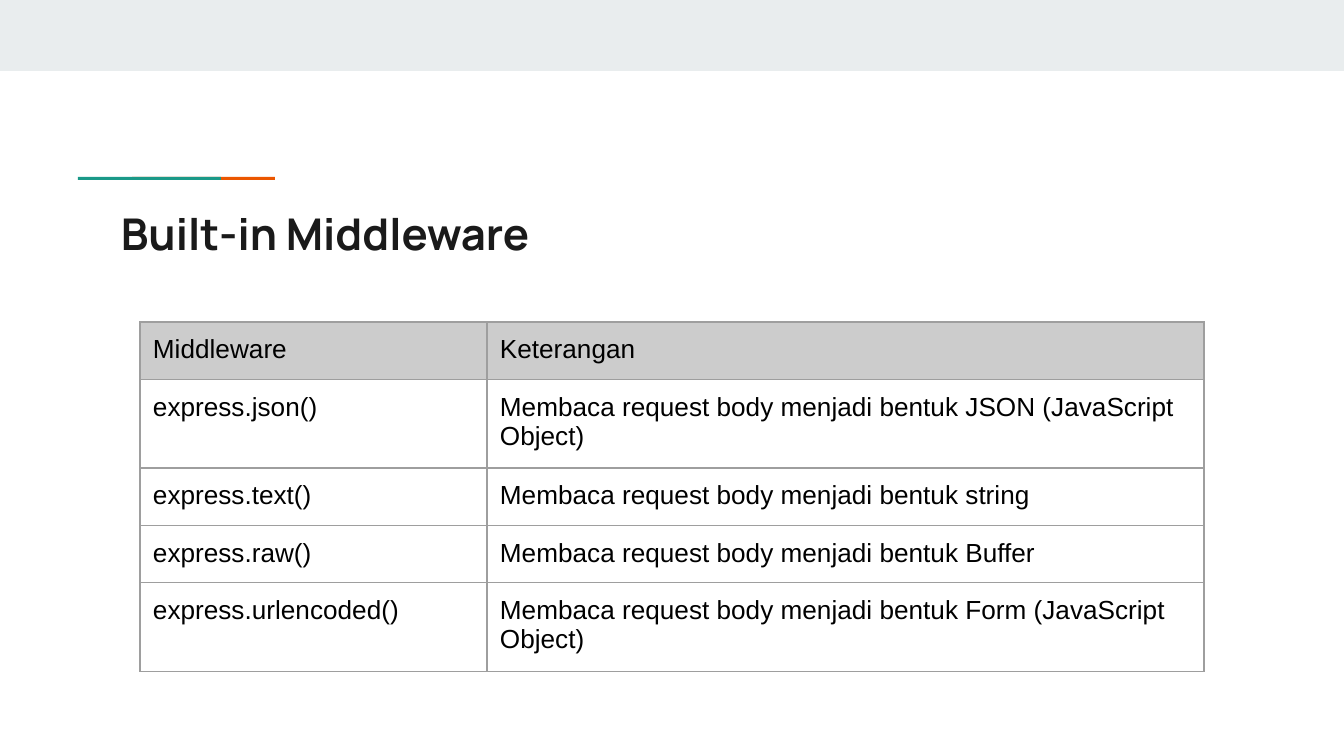
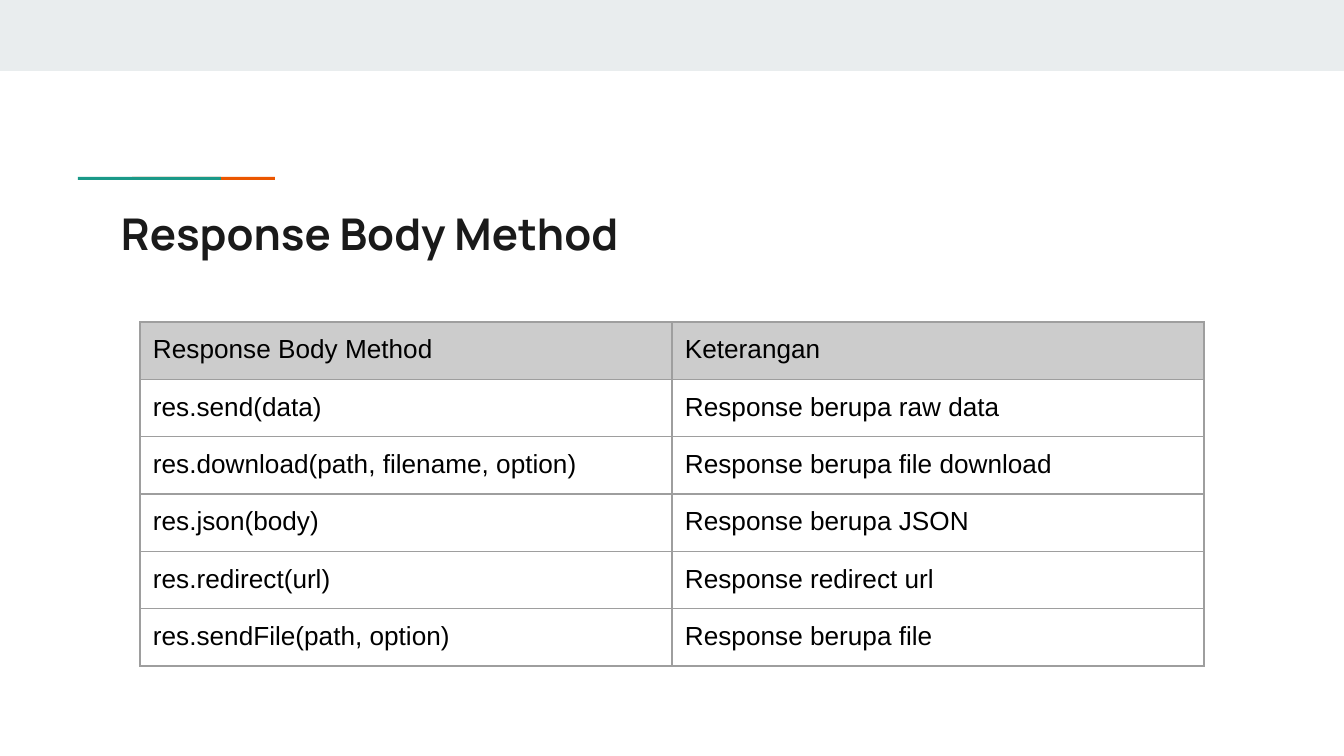
import pptx
import pptx.dml.color
import pptx.enum.shapes
import pptx.enum.text
import pptx.oxml
import pptx.oxml.ns
import pptx.util

EMU_PER_PX = 914400 / 134.4
WIDTH, HEIGHT = 1344, 756
INSET = 13
ROW_HEIGHT = 56
COLORS = {
    "background": "FFFFFF",
    "band": "E9EDEE",
    "teal": "1A9988",
    "orange": "EB5600",
    "title": "1A1A1A",
    "text": "000000",
    "header": "CCCCCC",
    "border": "9E9E9E",
}
TITLE_BOX = (108, 194, 1130, 79)
ACCENT_BOX = (78, 177, 197, 3)
TABLE_BOX = (140, 322, 1064)

MIDDLEWARE_ROWS = [
    ("Middleware", "Keterangan"),
    ("express.json()", "Membaca request body menjadi bentuk JSON (JavaScript Object)"),
    ("express.text()", "Membaca request body menjadi bentuk string"),
    ("express.raw()", "Membaca request body menjadi bentuk Buffer"),
    ("express.urlencoded()", "Membaca request body menjadi bentuk Form (JavaScript Object)"),
]
RESPONSE_ROWS = [
    ("Response Body Method", "Keterangan"),
    ("res.send(data)", "Response berupa raw data"),
    ("res.download(path, filename, option)", "Response berupa file download"),
    ("res.json(body)", "Response berupa JSON"),
    ("res.redirect(url)", "Response redirect url"),
    ("res.sendFile(path, option)", "Response berupa file"),
]


def px(length):
    return pptx.util.Emu(round(length * EMU_PER_PX))


def rgb(name):
    return pptx.dml.color.RGBColor.from_string(COLORS[name])


def write_text(frame, text, font="Arial", size=14, color="text", bold=False):
    frame.word_wrap = True
    span = frame.paragraphs[0].add_run()
    span.text = text
    span.font.name = font
    span.font.size = pptx.util.Pt(size)
    span.font.bold = bold
    span.font.color.rgb = rgb(color)


def set_margins(holder):
    for side in ("left", "top", "right", "bottom"):
        setattr(holder, f"margin_{side}", px(INSET))


def add_bar(page, box, color):
    bar = page.shapes.add_shape(
        pptx.enum.shapes.MSO_SHAPE.RECTANGLE, *map(px, box))
    bar.shadow.inherit = False
    bar.fill.solid()
    bar.fill.fore_color.rgb = rgb(color)
    bar.line.fill.background()


def add_accent(page, box):
    left, top, width, height = box
    bar_width = 143
    add_bar(page, (left + width - bar_width, top, bar_width, height), "orange")
    add_bar(page, (left, top, bar_width, height), "teal")


def add_title(page, box, text):
    frame = page.shapes.add_textbox(*map(px, box)).text_frame
    set_margins(frame)
    frame.vertical_anchor = pptx.enum.text.MSO_ANCHOR.TOP
    write_text(frame, text, font="Manrope", size=23.4, color="title", bold=True)


def set_borders(cell):
    properties = cell._tc.get_or_add_tcPr()
    for index, side in enumerate(("lnL", "lnR", "lnT", "lnB")):
        border = pptx.oxml.parse_xml(
            f'<a:{side} {pptx.oxml.ns.nsdecls("a")} w="{pptx.util.Pt(0.75)}">'
            f'<a:solidFill><a:srgbClr val="{COLORS["border"]}"/></a:solidFill>'
            f'</a:{side}>')
        properties.insert(index, border)


def add_table(page, box, rows, first_width):
    left, top, width = box
    table = page.shapes.add_table(
        len(rows), 2, px(left), px(top), px(width), px(ROW_HEIGHT * len(rows))).table
    table.first_row = False
    table.horz_banding = False
    for column, column_width in zip(table.columns, (first_width, width - first_width)):
        column.width = px(column_width)
    for row_index, texts in enumerate(rows):
        table.rows[row_index].height = px(ROW_HEIGHT)
        for column_index, text in enumerate(texts):
            cell = table.cell(row_index, column_index)
            set_margins(cell)
            if row_index == 0:
                cell.fill.solid()
                cell.fill.fore_color.rgb = rgb("header")
            else:
                cell.fill.background()
            set_borders(cell)
            write_text(cell.text_frame, text)


def add_table_page(deck, title, rows, first_width):
    page = deck.slides.add_slide(deck.slide_layouts[6])
    page.background.fill.solid()
    page.background.fill.fore_color.rgb = rgb("background")
    add_bar(page, (0, 0, WIDTH, 71), "band")
    add_accent(page, ACCENT_BOX)
    add_title(page, TITLE_BOX, title)
    add_table(page, TABLE_BOX, rows, first_width)


def main():
    deck = pptx.Presentation()
    deck.slide_width, deck.slide_height = px(WIDTH), px(HEIGHT)
    add_table_page(deck, "Built-in Middleware", MIDDLEWARE_ROWS, 347)
    add_table_page(deck, "Response Body Method", RESPONSE_ROWS, 532)
    deck.save("out.pptx")


if __name__ == "__main__":
    main()
